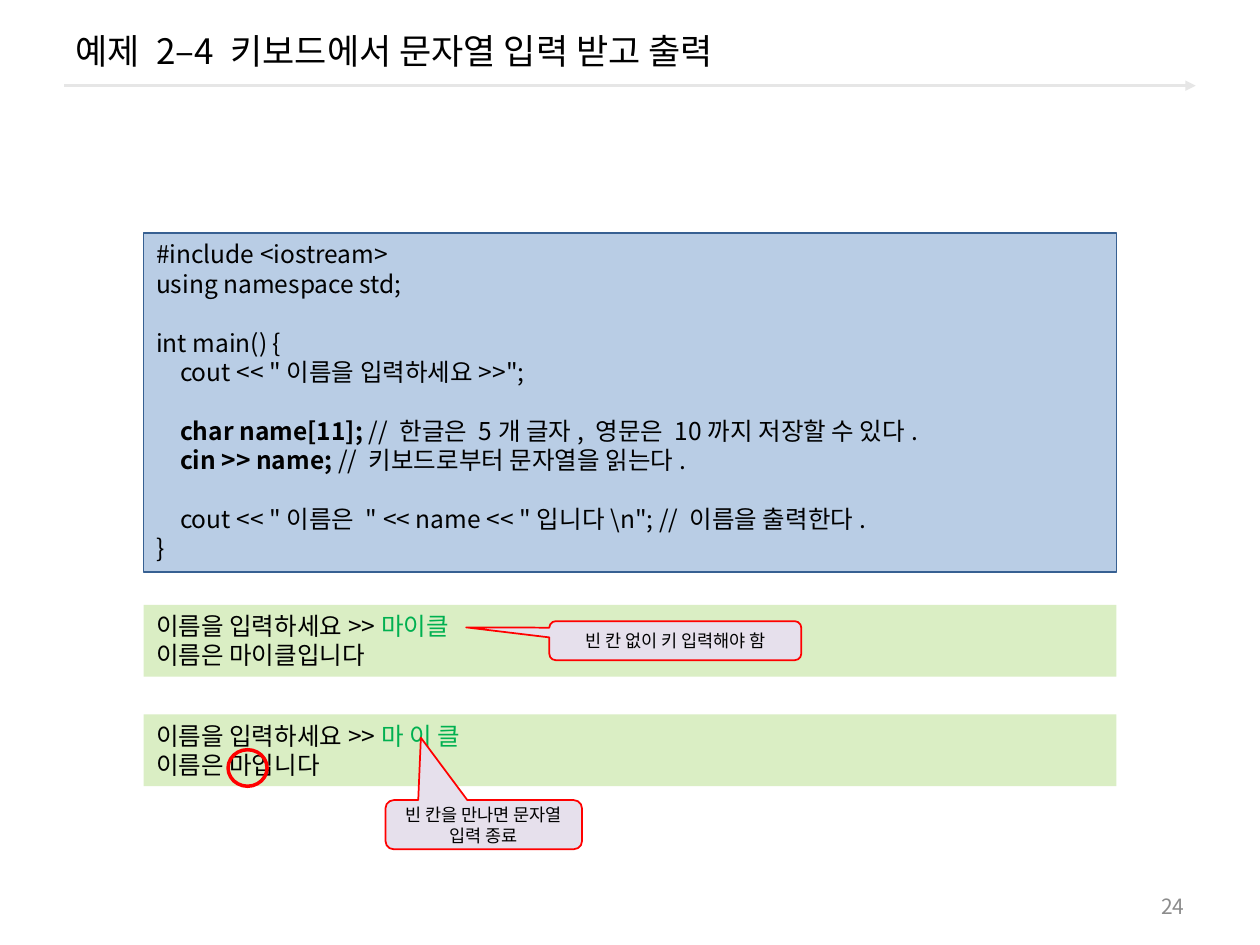
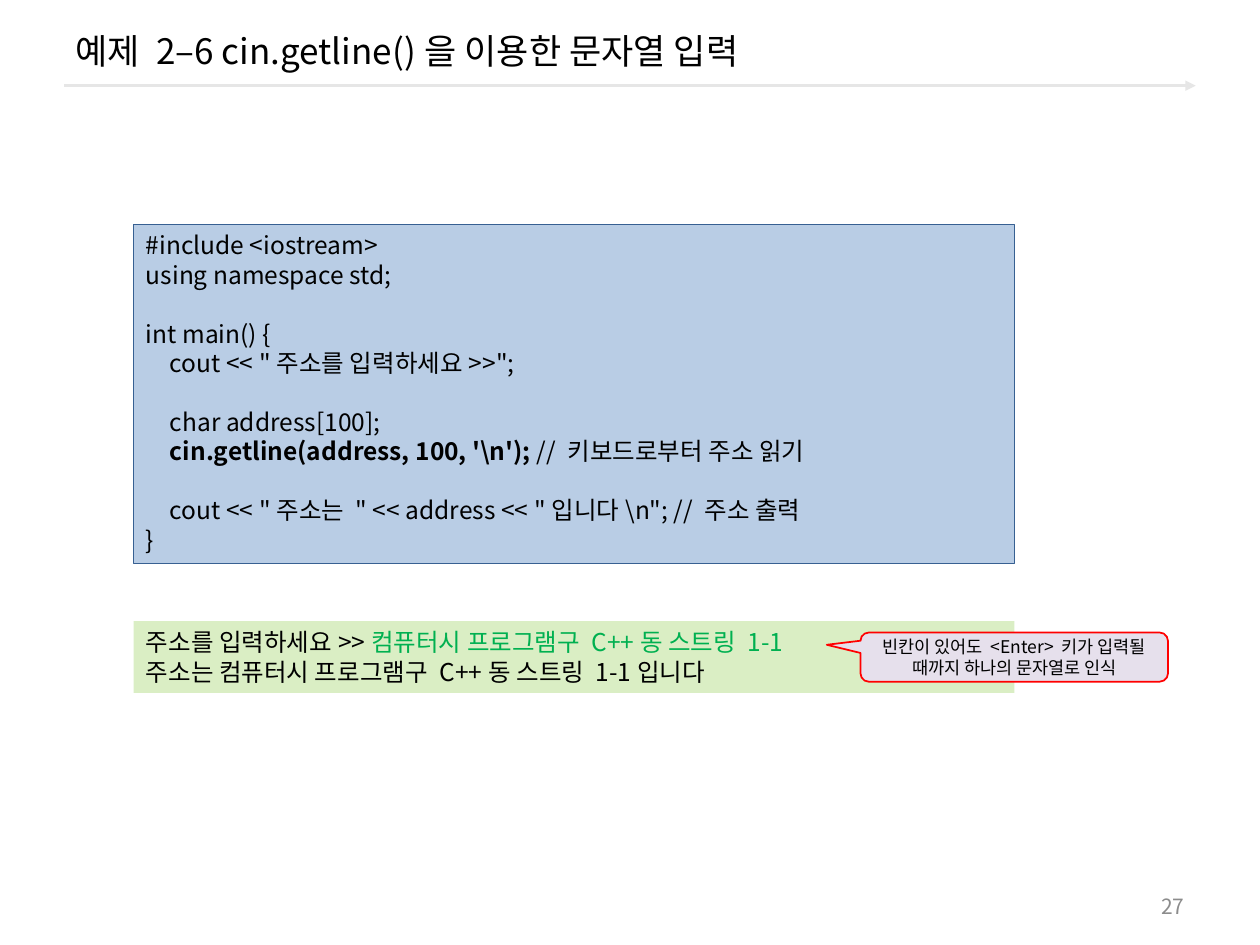
from dataclasses import dataclass

from lxml import etree
from pptx import Presentation
from pptx.dml.color import RGBColor
from pptx.enum.shapes import MSO_CONNECTOR, MSO_SHAPE
from pptx.enum.text import MSO_ANCHOR, PP_ALIGN
from pptx.oxml.ns import qn
from pptx.util import Inches, Pt

STRAIGHT = MSO_CONNECTOR.STRAIGHT
RECTANGLE = MSO_SHAPE.RECTANGLE
ELLIPSE = MSO_SHAPE.OVAL
CALLOUT = MSO_SHAPE.ROUNDED_RECTANGULAR_CALLOUT
TOP, MIDDLE = MSO_ANCHOR.TOP, MSO_ANCHOR.MIDDLE
LEFT, CENTER, RIGHT = PP_ALIGN.LEFT, PP_ALIGN.CENTER, PP_ALIGN.RIGHT


@dataclass(frozen=True)
class Theme:
    font: str = "Noto Sans CJK KR"
    ink: str = "000000"
    rule: str = "E6E6E6"
    page_number: str = "8C8C8C"
    code_fill: str = "B9CDE5"
    code_border: str = "376092"
    console_fill: str = "DAEEC4"
    typed: str = "00B050"
    callout_fill: str = "E6E0EC"
    alert: str = "FF0000"
    title_size: int = 20
    code_size: int = 14
    number_size: int = 12
    callout_size: int = 10
    leading: float = 1.2
    code_indent: float = 0.19


@dataclass(frozen=True)
class Span:
    text: str
    bold: bool = False
    color: str = Theme.ink


class Deck:
    def __init__(self, theme):
        self.theme = theme
        self.presentation = Presentation()
        self.presentation.slide_width = Inches(10)
        self.presentation.slide_height = Inches(7.5)
        self.slide = None

    def start_slide(self, heading, number):
        layout = self.presentation.slide_layouts[5]
        self.slide = self.presentation.slides.add_slide(layout)
        self.title(heading)
        self.title_rule()
        self.page_number(number)

    def title(self, heading):
        title = self.slide.shapes.title
        title.left, title.top = Inches(0.5), Inches(0.08)
        title.width, title.height = Inches(9), Inches(0.64)
        self.single_text(title, heading, self.theme.title_size, self.theme.ink, LEFT)

    def title_rule(self):
        rule = self.slide.shapes.add_connector(
            STRAIGHT, Inches(0.51), Inches(0.68), Inches(9.49), Inches(0.68))
        self.outline(rule, self.theme.rule, 1.5)
        properties = rule.element.spPr
        arrow = etree.SubElement(properties.find(qn("a:ln")), qn("a:tailEnd"))
        arrow.set("type", "triangle")
        etree.SubElement(properties, qn("a:effectLst"))

    def page_number(self, number):
        box = self.slide.shapes.add_textbox(
            Inches(7.17), Inches(7.03), Inches(2.33), Inches(0.32))
        self.single_text(box, str(number), self.theme.number_size,
                         self.theme.page_number, RIGHT)

    def code(self, left, top, width, lines):
        box = self.panel(RECTANGLE, left, top, width, 2.69, self.theme.code_fill)
        self.outline(box, self.theme.code_border, 0.75)
        self.listing(box, lines)

    def console(self, left, top, width, prompt, typed, reply):
        box = self.panel(RECTANGLE, left, top, width, 0.57, self.theme.console_fill)
        box.line.fill.background()
        self.listing(box, [[prompt, Span(typed, color=self.theme.typed)], reply])

    def callout(self, left, top, width, height, pointer, remark):
        bubble = self.panel(CALLOUT, left, top, width, height, self.theme.callout_fill)
        for index, offset in enumerate(pointer):
            bubble.adjustments[index] = offset
        self.outline(bubble, self.theme.alert, 1)
        size = self.theme.callout_size
        self.single_text(bubble, remark, size, self.theme.ink, CENTER)
        bubble.text_frame.paragraphs[0].line_spacing = Pt(size * self.theme.leading)

    def ring(self, left, top, width, height):
        ring = self.panel(ELLIPSE, left, top, width, height)
        self.outline(ring, self.theme.alert, 2)

    def panel(self, kind, left, top, width, height, fill=None):
        panel = self.slide.shapes.add_shape(
            kind, Inches(left), Inches(top), Inches(width), Inches(height))
        panel.shadow.inherit = False
        if fill:
            panel.fill.solid()
            panel.fill.fore_color.rgb = RGBColor.from_string(fill)
        else:
            panel.fill.background()
        return panel

    def outline(self, shape, color, width):
        shape.line.color.rgb = RGBColor.from_string(color)
        shape.line.width = Pt(width)

    def single_text(self, shape, text, size, color, alignment):
        frame = shape.text_frame
        frame.word_wrap = True
        frame.vertical_anchor = MIDDLE
        frame.text = text
        paragraph = frame.paragraphs[0]
        paragraph.alignment = alignment
        self.style_run(paragraph.runs[0], size, color)

    def listing(self, shape, lines):
        frame = shape.text_frame
        frame.word_wrap = True
        frame.vertical_anchor = TOP
        size = self.theme.code_size
        line_height = Pt(size * self.theme.leading)
        paragraph, gap = frame.paragraphs[0], Pt(0)
        for index, line in enumerate(lines):
            if line is None:
                gap = line_height
                continue
            if index:
                paragraph = frame.add_paragraph()
            paragraph.alignment = LEFT
            paragraph.line_spacing = line_height
            paragraph.space_before, gap = gap, Pt(0)
            self.add_tab_stop(paragraph)
            for part in [line] if isinstance(line, str) else line:
                span = Span(part) if isinstance(part, str) else part
                run = paragraph.add_run()
                run.text = span.text
                self.style_run(run, size, span.color, span.bold)

    def add_tab_stop(self, paragraph):
        stops = etree.SubElement(paragraph._p.get_or_add_pPr(), qn("a:tabLst"))
        stop = etree.SubElement(stops, qn("a:tab"))
        stop.set("pos", str(Inches(self.theme.code_indent)))
        stop.set("algn", "l")

    def style_run(self, run, size, color, bold=False):
        font = run.font
        font.name = self.theme.font
        font.size = Pt(size)
        font.bold = bold
        font.color.rgb = RGBColor.from_string(color)
        east_asian = etree.Element(qn("a:ea"))
        east_asian.set("typeface", self.theme.font)
        run._r.rPr.find(qn("a:latin")).addnext(east_asian)


PROGRAM_START = ["#include <iostream>", "using namespace std;", None, "int main() {"]


def program(*body):
    return [*PROGRAM_START, *body, "}"]


def word_input_slide(deck):
    left, width = 1.14, 7.72
    deck.start_slide("예제 2–4 키보드에서 문자열 입력 받고 출력", 24)
    deck.code(left, 1.85, width, program(
        "\tcout << \"이름을 입력하세요>>\";",
        None,
        [Span("\tchar name[11]; ", bold=True),
         "// 한글은 5개 글자, 영문은 10까지 저장할 수 있다."],
        [Span("\tcin >> name; ", bold=True), "// 키보드로부터 문자열을 읽는다."],
        None,
        "\tcout << \"이름은 \" << name << \"입니다\\n\"; // 이름을 출력한다.",
    ))
    sessions = [("마이클", "이름은 마이클입니다"), ("마 이 클", "이름은 마입니다")]
    for index, (typed, reply) in enumerate(sessions):
        deck.console(left, 4.8 + 0.87 * index, width,
                     "이름을 입력하세요>>", typed, reply)
    deck.callout(4.36, 4.93, 2, 0.31, (-0.83, -0.34), "빈 칸 없이 키 입력해야 함")
    deck.callout(3.06, 6.35, 1.56, 0.39, (-0.32, -1.77),
                 "빈 칸을 만나면 문자열 입력 종료")
    deck.ring(1.81, 5.95, 0.31, 0.29)


def line_input_slide(deck):
    left, width = 1.06, 6.99
    deck.start_slide("예제 2–6 cin.getline()을 이용한 문자열 입력", 27)
    deck.code(left, 1.78, width, program(
        "\tcout << \"주소를 입력하세요>>\";",
        None,
        "\tchar address[100];",
        [Span("\tcin.getline(address, 100, '\\n'); ", bold=True),
         "// 키보드로부터 주소 읽기"],
        None,
        "\tcout << \"주소는 \" << address << \"입니다\\n\"; // 주소 출력",
    ))
    deck.console(left, 4.93, width, "주소를 입력하세요>>",
                 "컴퓨터시 프로그램구 C++동 스트링 1-1",
                 "주소는 컴퓨터시 프로그램구 C++동 스트링 1-1입니다")
    deck.callout(6.83, 5.02, 2.44, 0.39, (-0.61, -0.25),
                 "빈칸이 있어도 <Enter> 키가 입력될 때까지 하나의 문자열로 인식")


def main():
    deck = Deck(Theme())
    word_input_slide(deck)
    line_input_slide(deck)
    deck.presentation.save("out.pptx")


if __name__ == "__main__":
    main()
